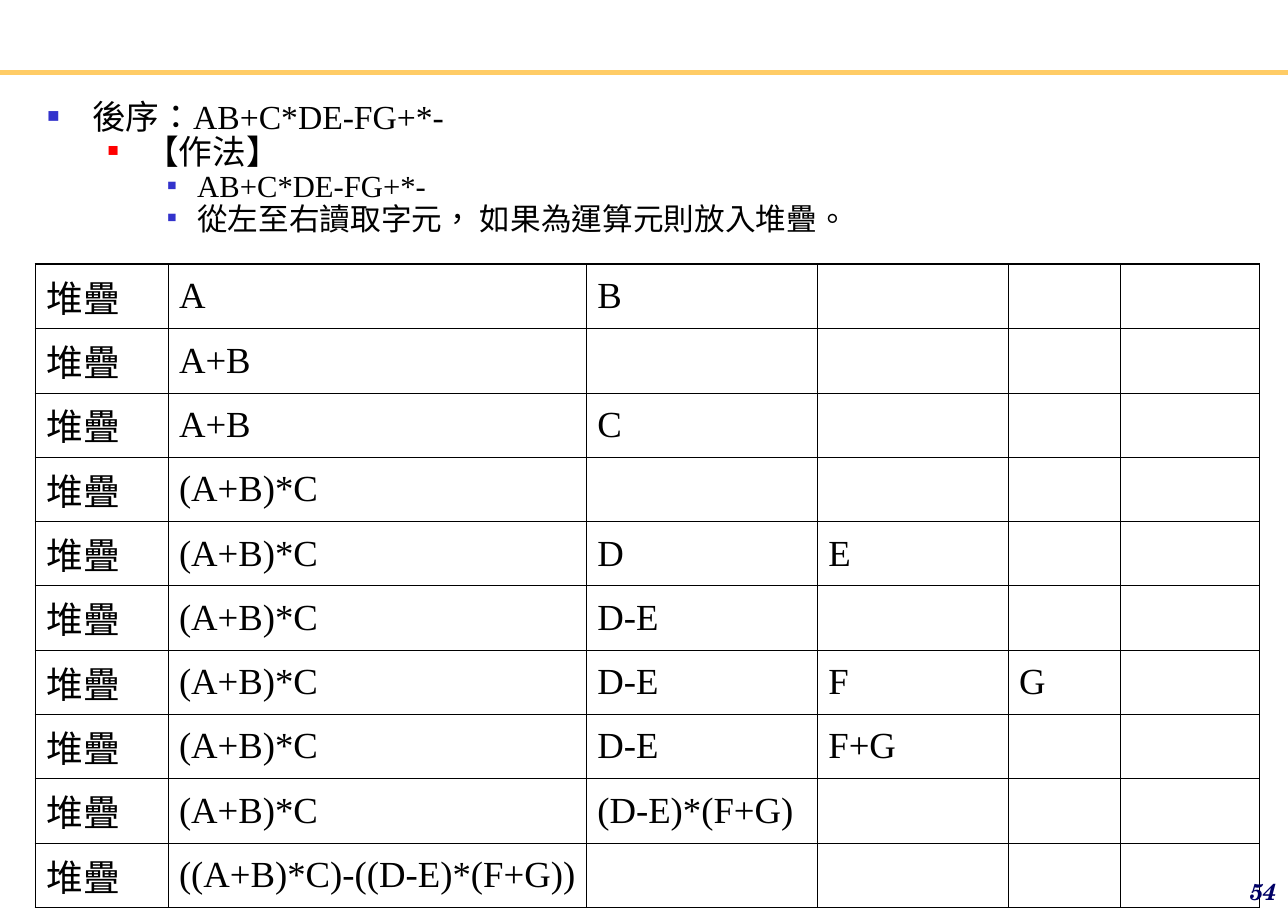
"""Build the slide that evaluates a postfix expression with a stack."""
import dataclasses

import lxml.etree
import pptx
import pptx.dml.color
import pptx.enum.lang
import pptx.enum.shapes
import pptx.enum.text
import pptx.oxml.ns
import pptx.util

Pt = pptx.util.Pt
qn = pptx.oxml.ns.qn
Anchor = pptx.enum.text.MSO_ANCHOR
Align = pptx.enum.text.PP_ALIGN
Language = pptx.enum.lang.MSO_LANGUAGE_ID


@dataclasses.dataclass(frozen=True)
class Theme:
    """Colours, fonts and type sizes of the slide."""
    ink: str = "000000"
    rule: str = "FFCC66"
    blue: str = "3333CC"
    red: str = "FF0000"
    navy: str = "000066"
    text_font: str = "Times New Roman"
    number_font: str = "TeX Gyre Schola"
    lead_size: float = 22
    detail_size: float = 20
    table_size: float = 24
    number_size: float = 15
    thin: float = 0.45
    thick: float = 1.08


def apply(target, formats):
    """Set each named format value on the target."""
    for name, value in formats.items():
        setattr(target, name, value)


def rgb(colour):
    """Turn a hex string into a colour."""
    return pptx.dml.color.RGBColor.from_string(colour)


def place(left, top, width, height):
    """Give a position and size in points as format values."""
    return {"left": Pt(left), "top": Pt(top), "width": Pt(width), "height": Pt(height)}


class SlideBuilder:
    """Draws each kind of element on one slide in one theme."""

    def __init__(self, slide, theme):
        """Keep the slide and its theme."""
        self.slide = slide
        self.theme = theme

    def styled_run(self, paragraph, wording, size, colour=None, **formats):
        """Add a run of styled text to a paragraph."""
        run = paragraph.add_run()
        run.text = wording
        apply(run.font, {"name": self.theme.text_font, "size": Pt(size),
                         "language_id": Language.TRADITIONAL_CHINESE, **formats})
        run.font.color.rgb = rgb(colour or self.theme.ink)

    def rule(self, top, width, weight):
        """Draw the horizontal rule under the header."""
        header_rule = self.slide.shapes.add_connector(
            pptx.enum.shapes.MSO_CONNECTOR.STRAIGHT, 0, Pt(top), Pt(width), Pt(top))
        header_rule.line.color.rgb = rgb(self.theme.rule)
        header_rule.line.width = Pt(weight)
        properties = header_rule._element.spPr
        lxml.etree.SubElement(properties, qn("a:effectLst"))

    def bullet(self, paragraph, colour, percent, margin, hang):
        """Give a paragraph a hanging square bullet."""
        properties = paragraph._p.get_or_add_pPr()
        properties.set("marL", str(Pt(margin)))
        properties.set("indent", str(-Pt(hang)))
        bullet_colour = lxml.etree.SubElement(properties, qn("a:buClr"))
        lxml.etree.SubElement(bullet_colour, qn("a:srgbClr"), val=colour)
        lxml.etree.SubElement(properties, qn("a:buSzPct"), val=str(percent * 1000))
        lxml.etree.SubElement(properties, qn("a:buFont"), typeface=self.theme.text_font)
        lxml.etree.SubElement(properties, qn("a:buChar"), char="■")

    def outline(self, items, levels, box):
        """Fill the body placeholder with a bulleted outline."""
        body = self.slide.placeholders[1]
        apply(body, place(*box))
        frame = body.text_frame
        apply(frame, {"word_wrap": True, "auto_size": pptx.enum.text.MSO_AUTO_SIZE.NONE,
                      "vertical_anchor": Anchor.TOP, "margin_left": Pt(7.9),
                      "margin_right": Pt(7.9), "margin_top": Pt(7), "margin_bottom": Pt(3.6)})
        for index, (level, wording) in enumerate(items):
            line = frame.add_paragraph() if index else frame.paragraphs[0]
            size, *bullet_style = levels[level]
            apply(line, {"level": level, "line_spacing": 0.8,
                         "space_before": Pt(2 if index else 0), "space_after": Pt(0)})
            self.bullet(line, *bullet_style)
            self.styled_run(line, wording, size)

    def borders(self, cell, weights):
        """Draw the four borders of a table cell."""
        properties = cell._tc.get_or_add_tcPr()
        for index, (side, weight) in enumerate(weights.items()):
            border = lxml.etree.Element(qn(f"a:ln{side}"), w=str(Pt(weight)))
            fill = lxml.etree.SubElement(border, qn("a:solidFill"))
            lxml.etree.SubElement(fill, qn("a:srgbClr"), val=self.theme.ink)
            properties.insert(index, border)

    def table(self, rows, widths, left, top, row_height):
        """Draw the stack states as a ruled table with a thicker outer edge."""
        theme = self.theme
        last_row, last_column = len(rows) - 1, len(widths) - 1
        stack_table = self.slide.shapes.add_table(
            len(rows), len(widths), Pt(left), Pt(top),
            Pt(sum(widths)), Pt(row_height * len(rows))).table
        apply(stack_table, {"first_row": False, "horz_banding": False})
        for column, width in zip(stack_table.columns, widths):
            column.width = Pt(width)
        for y, entries in enumerate(rows):
            stack_table.rows[y].height = Pt(row_height)
            for x in range(len(widths)):
                cell = stack_table.cell(y, x)
                cell.vertical_anchor = Anchor.MIDDLE
                cell.fill.background()
                outer = {"L": x == 0, "R": x == last_column, "T": y == 0, "B": y == last_row}
                self.borders(cell, {side: theme.thick if edge else theme.thin
                                    for side, edge in outer.items()})
                if x < len(entries):
                    self.styled_run(cell.text_frame.paragraphs[0], entries[x], theme.table_size)

    def page_number(self, number, box):
        """Set the page number at the bottom right."""
        frame = self.slide.shapes.add_textbox(*place(*box).values()).text_frame
        apply(frame, {"word_wrap": True, "vertical_anchor": Anchor.BOTTOM,
                      "margin_left": Pt(7.9), "margin_right": Pt(7.9)})
        frame.paragraphs[0].alignment = Align.RIGHT
        self.styled_run(frame.paragraphs[0], number, self.theme.number_size, self.theme.navy,
                        name=self.theme.number_font, bold=True, italic=True)


def main():
    """Build and save the slide."""
    theme = Theme()
    presentation = pptx.Presentation()
    apply(presentation, {"slide_width": Pt(841.68), "slide_height": Pt(595.44)})
    slide = presentation.slides.add_slide(presentation.slide_layouts[1])
    title = slide.shapes.title.element
    title.getparent().remove(title)
    builder = SlideBuilder(slide, theme)

    builder.rule(47.5, 841.68, 3)

    postfix = "AB+C*DE-FG+*-"
    levels = [(theme.lead_size, theme.blue, 60, 29.5, 29.5),
              (theme.lead_size, theme.red, 55, 64, 24.5),
              (theme.detail_size, theme.blue, 50, 98, 19.5)]
    outline = [(0, f"後序：{postfix}"),
               (1, "【作法】"),
               (2, postfix),
               (2, "從左至右讀取字元， 如果為運算元則放入堆疊。")]
    builder.outline(outline, levels, (23, 60.5, 801.4, 113))

    product = "(A+B)*C"
    states = [["A", "B"],
              ["A+B"],
              ["A+B", "C"],
              [product],
              [product, "D", "E"],
              [product, "D-E"],
              [product, "D-E", "F", "G"],
              [product, "D-E", "F+G"],
              [product, "(D-E)*(F+G)"],
              ["((A+B)*C)-((D-E)*(F+G))"]]
    builder.table([["堆疊", *state] for state in states],
                  [86.6, 273.4, 151, 124.7, 73.6, 90.5], 23.2, 172.7, 42)

    builder.page_number("54", (666.5, 572.4, 175.5, 22.5))
    presentation.save("out.pptx")


if __name__ == "__main__":
    main()
